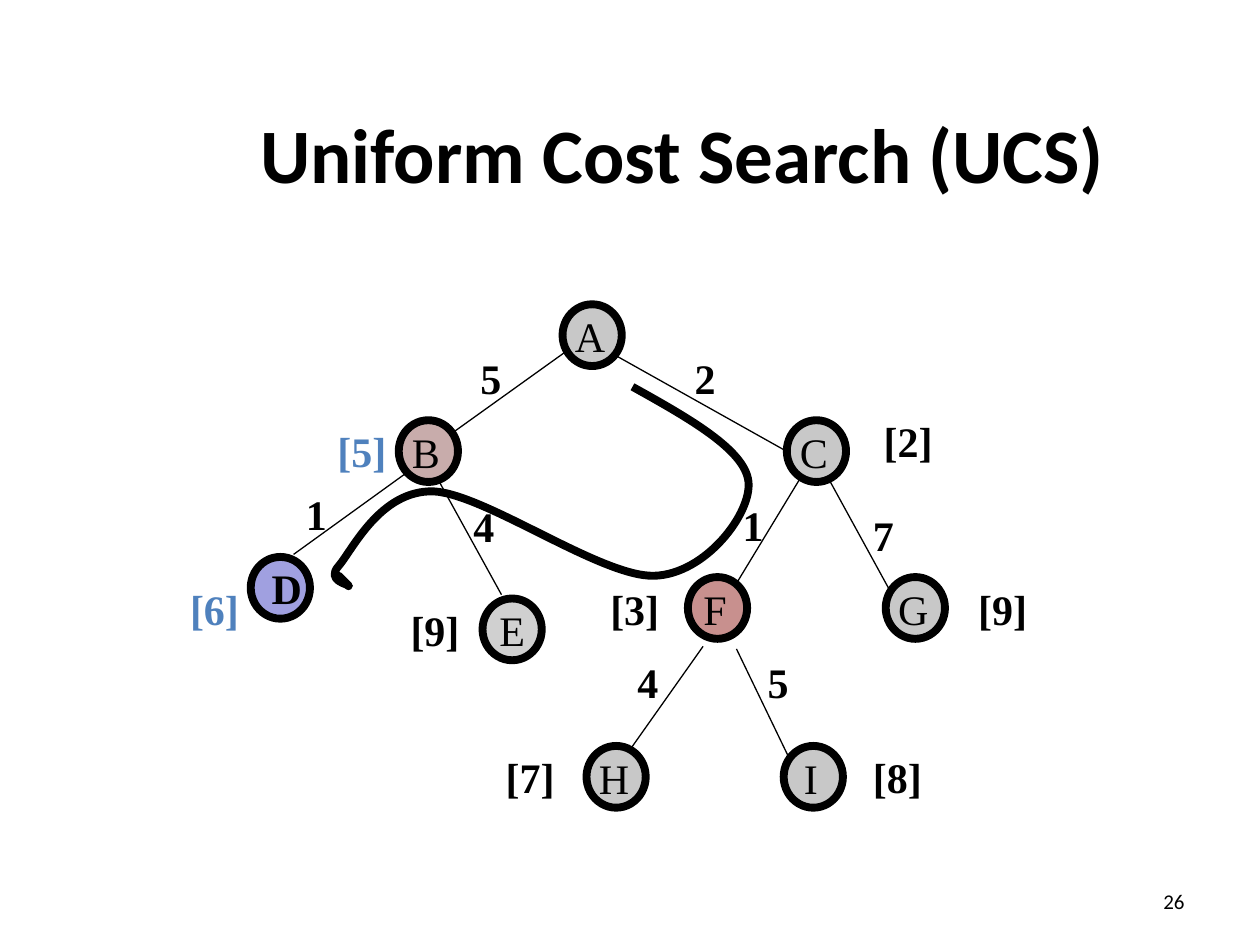
from dataclasses import dataclass

from lxml import etree
from pptx import Presentation, util as u
from pptx.dml.color import RGBColor
from pptx.enum import shapes, text
from pptx.oxml.ns import qn


@dataclass(frozen=True)
class Theme:
    """Colours, fonts and type sizes of the slide."""
    ink: str = "000000"
    grey: str = "C8C8C8"
    pale_grey: str = "D0D0D0"
    rose: str = "C8ACAB"
    red: str = "C8908E"
    lilac: str = "A0A0E0"
    blue: str = "4F81BD"
    heading: str = "Calibri"
    tree: str = "Times New Roman"
    title_size: int = 44
    tree_size: int = 24
    number_size: int = 12
    ring: float = 4.5
    edge: float = 0.75


theme = Theme()
deck = Presentation()
deck.slide_width, deck.slide_height = u.Inches(10), u.Inches(7.5)
slide = deck.slides.add_slide(deck.slide_layouts[6])
COL, ROW = deck.slide_width / 100, deck.slide_height / 75
LEFT, CENTER, RIGHT = text.PP_ALIGN.LEFT, text.PP_ALIGN.CENTER, text.PP_ALIGN.RIGHT


def place(left, top, width, height):
    """Turn columns and rows of the grid into slide lengths."""
    return [round(n * step) for n, step in zip((left, top, width, height), (COL, ROW) * 2)]


def write(holder, words, size=theme.tree_size, font=theme.tree, colour=theme.ink,
          bold=True, align=LEFT, middle=False):
    """Put one styled line of text into a shape or text box."""
    frame = holder.text_frame
    frame.word_wrap = font == theme.heading
    frame.vertical_anchor = text.MSO_ANCHOR.MIDDLE if middle else text.MSO_ANCHOR.TOP
    line = frame.paragraphs[0]
    line.text, line.alignment = words, align
    line.font.name, line.font.size, line.font.bold = font, u.Pt(size), bold
    line.font.color.rgb = RGBColor.from_string(colour)


# Slide number and title
write(slide.shapes.add_textbox(*place(71.7, 69.5, 23.3, 4)), "26", theme.number_size,
      theme.heading, bold=False, align=RIGHT, middle=True)
write(slide.shapes.add_textbox(*place(11.7, 5.85, 85, 12.5)), "Uniform Cost Search (UCS)",
      theme.title_size, theme.heading, align=CENTER, middle=True)

# The search tree, in grid columns and rows
# node: position, fill, total cost, position and colour of the total
nodes = {"A": ((44.65, 24.15), theme.grey, None, None, None),
         "B": ((31.65, 33.35), theme.rose, "[5]", (25.8, 33.3), theme.blue),
         "C": ((62.45, 33.35), theme.grey, "[2]", (69.15, 32.45), theme.ink),
         "G": ((70.3, 45.8), theme.grey, "[9]", (76.65, 45.8), theme.ink),
         "F": ((54.6, 45.8), theme.red, "[3]", (47.45, 45.8), theme.ink),
         "I": ((62.2, 59.2), theme.grey, "[8]", (68.3, 59.15), theme.ink),
         "H": ((46.55, 59.2), theme.grey, "[7]", (39.15, 59.15), theme.ink),
         "D": ((19.9, 44.2), theme.lilac, "[6]", (14.1, 45.8), theme.blue),
         "E": ((38.3, 47.5), theme.pale_grey, "[9]", (31.6, 47.5), theme.ink)}
# line start, line end, cost, cost position
edges = [((44.85, 27.95), (35.85, 34.4), "5", (37.15, 27.45)),
         ((63.55, 37.9), (58.45, 46.3), "1", (57.95, 39.15)),
         ((65.85, 38.15), (70.7, 47), "7", (68.3, 39.95)),
         ((48.75, 28.15), (62.4, 35.8), "2", (54.15, 27.45)),
         ((55.8, 51.3), (50, 59.5), "4", (49.6, 51.65)),
         ((58.45, 51.5), (62.6, 60.1), "5", (59.95, 51.65)),
         ((32.3, 37.5), (23.3, 44), "1", (23.3, 38.3)),
         ((34.9, 38.3), (39.8, 47.2), "4", (36.6, 39.2))]
# Search route in tenths of a column; three points to each curve
route_start = (502, 307)
route_curves = [(547, 332), (591, 357), (594, 382), (597, 407), (560, 456), (519, 457),
                (477, 458), (385, 392), (344, 390), (302, 389), (280, 436), (269, 449),
                (258, 461), (277, 464), (277, 465), (277, 467), (269, 457), (269, 457),
                (269, 457), (276, 464), (277, 465)]

outline = slide.shapes.build_freeform(*route_start, scale=COL / 10)
outline.add_line_segments(route_curves, close=False)
route = outline.convert_to_shape()
route.shadow.inherit = False
route.fill.background()
route.line.color.rgb = RGBColor.from_string(theme.ink)
route.line.width = u.Pt(theme.ring)
segments = list(route._element.iter(qn("a:lnTo")))
for first in range(0, len(segments), 3):
    curve, *others = segments[first:first + 3]
    curve.tag = qn("a:cubicBezTo")
    for other in others:
        curve.append(other[0])
        other.getparent().remove(other)

for start, end, cost, spot in edges:
    branch = slide.shapes.add_connector(shapes.MSO_CONNECTOR.STRAIGHT, *place(*start, *end))
    branch.line.color.rgb = RGBColor.from_string(theme.ink)
    branch.line.width = u.Pt(theme.edge)
    etree.SubElement(branch._element.spPr, qn("a:effectLst"))
    write(slide.shapes.add_textbox(*place(*spot, 3.7, 5)), cost)

for name, (corner, fill, total, spot, colour) in nodes.items():
    circle = slide.shapes.add_shape(shapes.MSO_SHAPE.OVAL, *place(*corner, 4.7, 4.9))
    circle.shadow.inherit = False
    circle.fill.solid()
    circle.fill.fore_color.rgb = RGBColor.from_string(fill)
    circle.line.color.rgb = RGBColor.from_string(theme.ink)
    circle.line.width = u.Pt(theme.ring)
    # Leaves D and E carry their letter; the others have a label on top
    inside = name in "DE"
    letter = circle if inside else slide.shapes.add_textbox(*place(*corner, 4.3, 5))
    write(letter, name, bold=name == "D", middle=inside,
          align=LEFT if name == "D" else CENTER)
    if total:
        write(slide.shapes.add_textbox(*place(*spot, 5.9, 5)), total, colour=colour)

deck.save("out.pptx")
